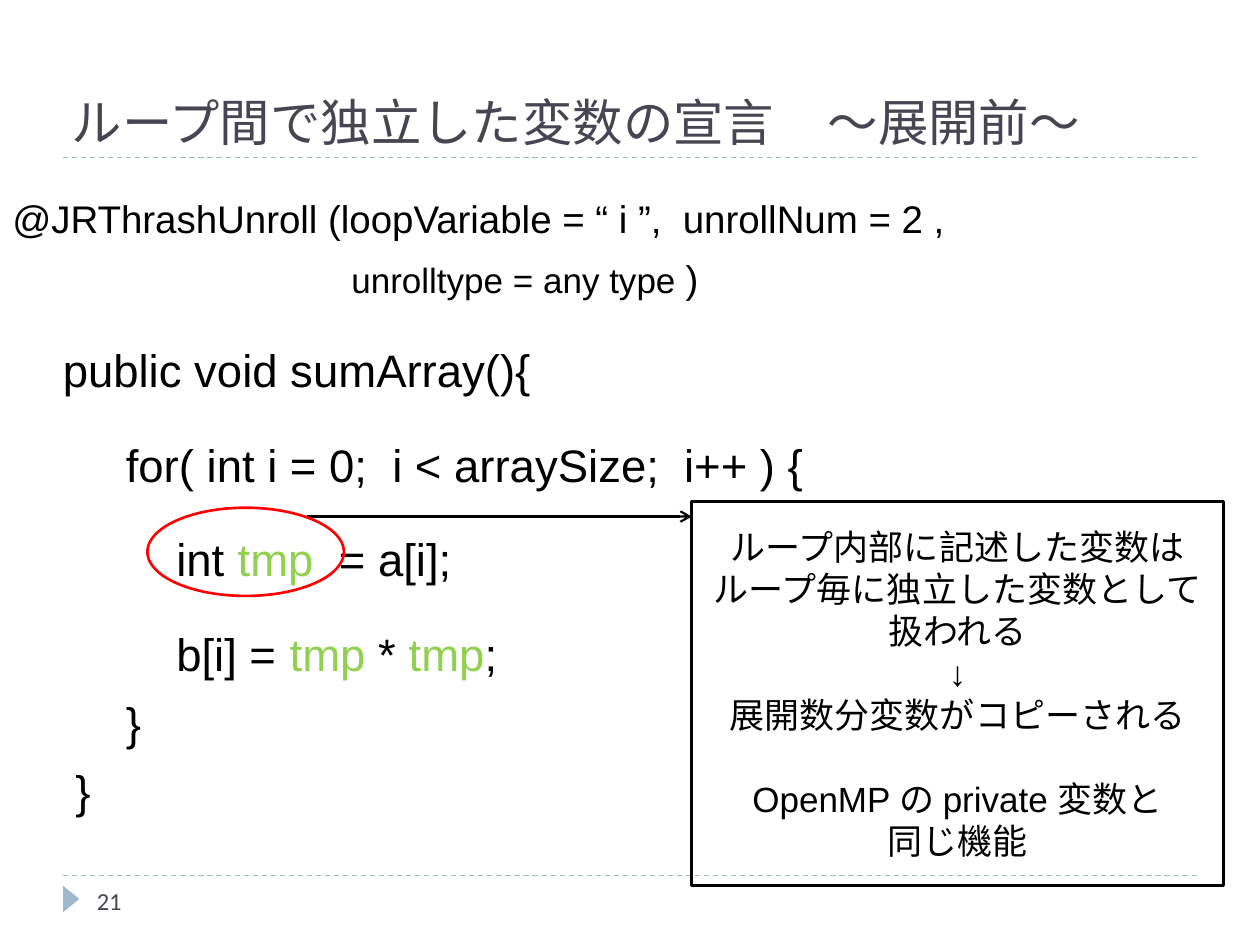
import pptx
import pptx.util
import pptx.dml.color
import pptx.enum.dml
import pptx.enum.shapes
import pptx.enum.text
import pptx.oxml
import pptx.oxml.ns
from pptx.util import Inches

COLORS = {
    "black": "000000",
    "heading": "464653",
    "rule": "9FB8CD",
    "variable": "92D050",
    "highlight": "FF0000",
}
SHAPES = pptx.enum.shapes.MSO_SHAPE
ANCHOR = pptx.enum.text.MSO_ANCHOR
ALIGN = pptx.enum.text.PP_ALIGN


def rgb(name):
    return pptx.dml.color.RGBColor.from_string(COLORS[name])


def add_element(parent, tag, **attributes):
    element = pptx.oxml.parse_xml(f"<a:{tag} {pptx.oxml.ns.nsdecls('a')}/>")
    for name, value in attributes.items():
        element.set(name, str(value))
    parent.append(element)
    return element


def write_paragraph(frame, runs, size, color="black", font="Arial", align=ALIGN.LEFT,
                    before=0, indent=0, tab=None):
    """Add a paragraph; runs is a string or a list of (text, overrides)."""
    paragraph = frame.paragraphs[0]
    if paragraph.runs:
        paragraph = frame.add_paragraph()
    paragraph.alignment = align
    paragraph.space_before = pptx.util.Pt(before)
    properties = paragraph._p.get_or_add_pPr()
    properties.set("marL", str(Inches(indent)))
    properties.set("indent", "0")
    if tab:
        add_element(add_element(properties, "tabLst"), "tab", pos=Inches(tab), algn="l")
    if isinstance(runs, str):
        runs = [(runs, {})]
    for text, overrides in runs:
        run = paragraph.add_run()
        run.text = text
        run.font.name = font
        run.font.size = pptx.util.Pt(overrides.get("size", size))
        run.font.color.rgb = rgb(overrides.get("color", color))


def add_text_box(slide, left, top, width, height, anchor=ANCHOR.TOP):
    box = slide.shapes.add_textbox(Inches(left), Inches(top), Inches(width), Inches(height))
    box.text_frame.word_wrap = True
    box.text_frame.vertical_anchor = anchor
    return box.text_frame


def add_shape(slide, kind, left, top, width, height, fill=None, line=None):
    shape = slide.shapes.add_shape(kind, Inches(left), Inches(top), Inches(width), Inches(height))
    shape.shadow.inherit = False
    if fill:
        shape.fill.solid()
        shape.fill.fore_color.rgb = rgb(fill)
    else:
        shape.fill.background()
    if line:
        shape.line.color.rgb = rgb(line)
        shape.line.width = pptx.util.Pt(1.5)
    else:
        shape.line.fill.background()
    return shape


def add_line(slide, left, right, y, color, width, dashed=False, arrow=False):
    connector = slide.shapes.add_connector(
        pptx.enum.shapes.MSO_CONNECTOR.STRAIGHT, Inches(left), Inches(y), Inches(right), Inches(y))
    connector.line.color.rgb = rgb(color)
    connector.line.width = pptx.util.Pt(width)
    if dashed:
        connector.line.dash_style = pptx.enum.dml.MSO_LINE.DASH
    if arrow:
        add_element(connector.line._get_or_add_ln(), "tailEnd", type="arrow")
    add_element(connector._element.spPr, "effectLst")


def add_frame(slide):
    for y in (6.95, 1.25):
        add_line(slide, 0.5, 9.5, y, "rule", 0.75, dashed=True)
    marker = add_shape(slide, SHAPES.ISOSCELES_TRIANGLE, 0.46, 7.07, 0.21, 0.13, fill="rule")
    marker.rotation = 90
    title = add_text_box(slide, 0.47, 0.39, 9.22, 0.86, ANCHOR.BOTTOM)
    write_paragraph(title, "ループ間で独立した変数の宣言\t～展開前～", 28.8, "heading", tab=6)
    number = add_text_box(slide, 0.67, 6.95, 2.17, 0.4, ANCHOR.MIDDLE)
    write_paragraph(number, "21", 14, "heading", "Calibri")


def add_code(slide):
    body = add_text_box(slide, 0, 1.5, 10, 5.4)
    # Annotation
    write_paragraph(body, "@JRThrashUnroll (loopVariable = “ i ”,  unrollNum = 2 ,", 22)
    write_paragraph(body, [("unrolltype = any type ", {}), (")", {"size": 22})], 20,
                    before=8, indent=2.69)
    # Method
    variable = ("tmp", {"color": "variable"})
    wide, narrow = 23, 8
    lines = [
        ("    public void sumArray(){", wide),
        ("         for( int i = 0;  i < arraySize;  i++ ) {", wide),
        ([("             int ", {}), variable, ("  = a[i];", {})], wide),
        ([("             b[i] = ", {}), variable, (" * ", {}), variable, (";", {})], wide),
        ("         }", narrow),
        ("     }", narrow),
    ]
    for runs, before in lines:
        write_paragraph(body, runs, 26, before=before)


def add_callout(slide):
    add_line(slide, 2.44, 5.49, 4.1, "black", 1.25, arrow=True)
    callout = add_shape(slide, SHAPES.RECTANGLE, 5.49, 3.98, 4.22, 3.05, line="black")
    frame = callout.text_frame
    frame.word_wrap = True
    frame.vertical_anchor = ANCHOR.MIDDLE
    groups = [
        ["ループ内部に記述した変数は", "ループ毎に独立した変数として", "扱われる", "↓",
         "展開数分変数がコピーされる"],
        ["OpenMP の private 変数と", "同じ機能"],
    ]
    for group_index, group in enumerate(groups):
        for line_index, text in enumerate(group):
            before = 24 if group_index and not line_index else 0
            write_paragraph(frame, text, 20, align=ALIGN.CENTER, before=before)
    add_shape(slide, SHAPES.OVAL, 1.17, 4.03, 1.56, 0.7, line="highlight")


def main():
    presentation = pptx.Presentation()
    presentation.slide_width = Inches(10)
    presentation.slide_height = Inches(7.5)
    slide = presentation.slides.add_slide(presentation.slide_layouts[6])
    add_frame(slide)
    add_code(slide)
    add_callout(slide)
    presentation.save("out.pptx")


if __name__ == "__main__":
    main()
